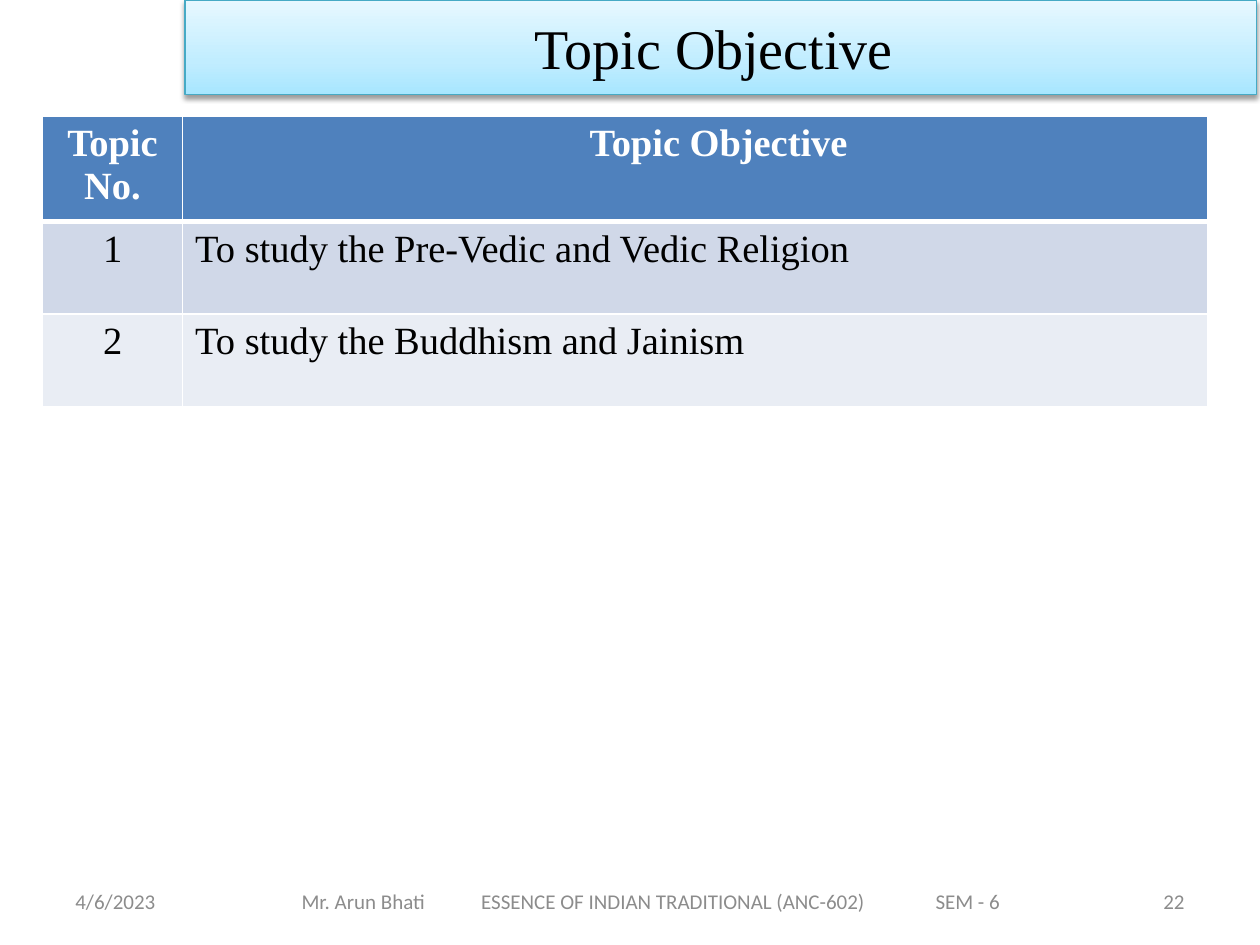
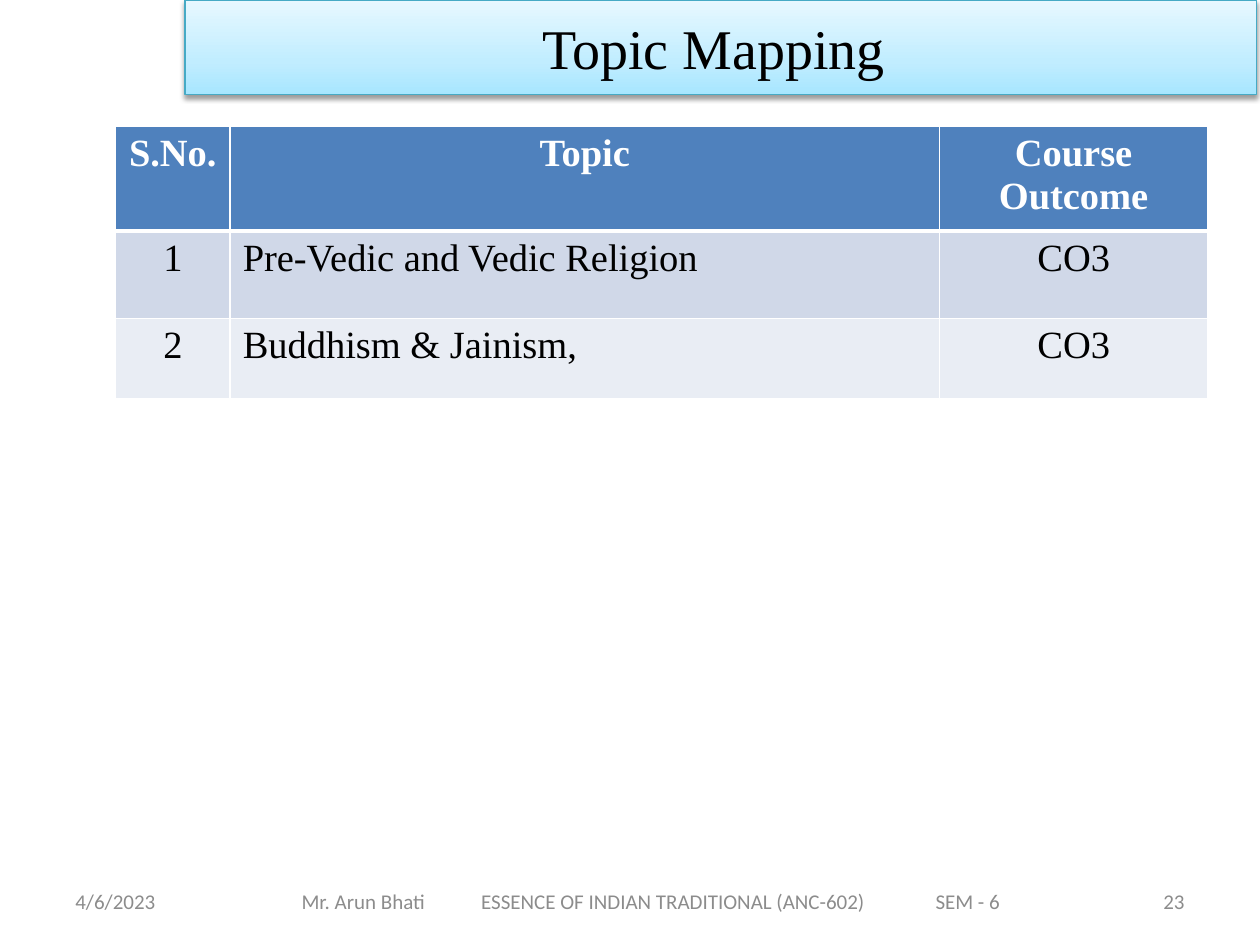
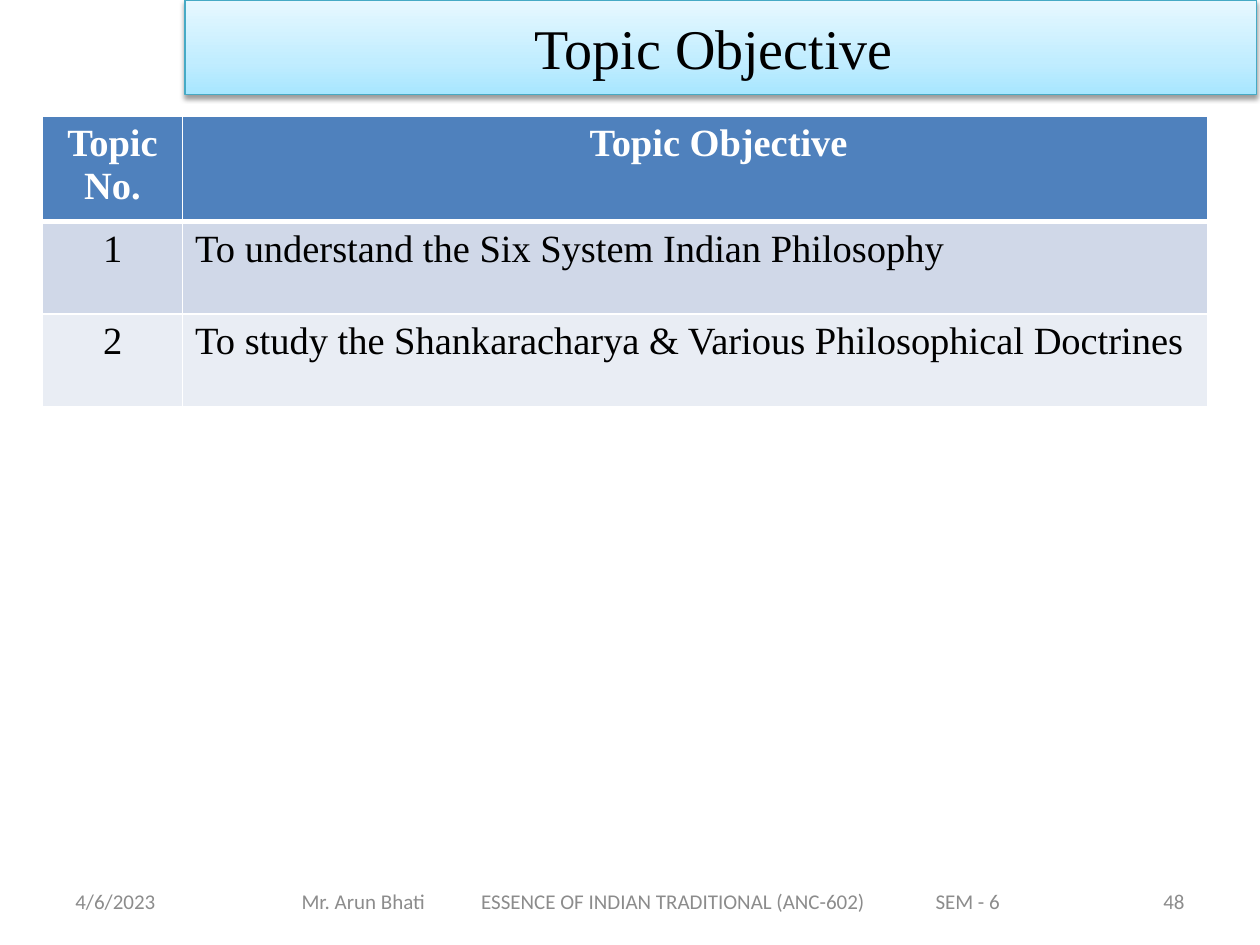
"""Build three course slides, each a title band over a table of topics."""
import copy
from dataclasses import dataclass

import pptx
import pptx.dml.color
import pptx.enum.shapes
import pptx.enum.text
import pptx.oxml
import pptx.oxml.ns
import pptx.util
from lxml import etree

Cm = pptx.util.Cm
Pt = pptx.util.Pt
qn = pptx.oxml.ns.qn
LEFT = pptx.enum.text.PP_ALIGN.LEFT
CENTER = pptx.enum.text.PP_ALIGN.CENTER
RIGHT = pptx.enum.text.PP_ALIGN.RIGHT
JUSTIFY = pptx.enum.text.PP_ALIGN.JUSTIFY
MIDDLE = pptx.enum.text.MSO_ANCHOR.MIDDLE


@dataclass(frozen=True)
class Theme:
    serif: str = "Times New Roman"
    sans: str = "Calibri"
    title_size: int = 32
    table_size: int = 22
    footer_size: int = 12
    ink: str = "000000"
    white: str = "FFFFFF"
    muted: str = "8C8C8C"
    header: str = "4F81BD"
    stripes: tuple = ("D0D8E8", "E9EDF4")
    band_edge: str = "46AAC5"
    band_stops: tuple = ((0, "A7E6FF"), (0.35, "C1EDFF"), (1, "E7F8FF"))


THEME = Theme()

OBJECTIVE_GRID = dict(
    left=0.86, top=2.34, columns=(2.82, 20.67), rows=(2.13, 1.86, 1.86),
    alignments=(CENTER, JUSTIFY), header_indents=(0.25, 1.2),
    headings=("Topic No.", "Topic Objective"),
)
MAPPING_GRID = dict(
    left=2.33, top=2.54, columns=(2.31, 14.3, 5.41), rows=(2.05, 1.76, 1.62),
    alignments=(CENTER, JUSTIFY, CENTER), header_indents=(0.25, 0.25, 0.25),
    headings=("S.No.", "Topic", "Course Outcome"),
)
SLIDES = [
    ("Topic Objective", "22", OBJECTIVE_GRID, [
        ("1", "To study the Pre-Vedic and Vedic Religion"),
        ("2", "To study the Buddhism and Jainism"),
    ]),
    ("Topic Mapping", "23", MAPPING_GRID, [
        ("1", "Pre-Vedic and Vedic Religion", "CO3"),
        ("2", "Buddhism & Jainism,", "CO3"),
    ]),
    ("Topic Objective", "48", OBJECTIVE_GRID, [
        ("1", "To understand the Six System Indian Philosophy"),
        ("2", "To study the Shankaracharya & Various Philosophical Doctrines"),
    ]),
]
DATE = "4/6/2023"
COURSE = "Mr. Arun Bhati\tESSENCE OF INDIAN TRADITIONAL (ANC-602)\tSEM - 6"
COURSE_TABS = (3.62, 12.78)
FOOTER_TOP, FOOTER_HEIGHT = 17.65, 1.02


def rgb(value):
    return pptx.dml.color.RGBColor.from_string(value)


def write(frame, text, *, size, font, color, align=LEFT, bold=False):
    frame.word_wrap = True
    paragraph = frame.paragraphs[0]
    paragraph.alignment = align
    run = paragraph.add_run()
    run.text = text
    run.font.size = Pt(size)
    run.font.name = font
    run.font.bold = bold
    run.font.color.rgb = rgb(color)
    return paragraph


def add_band(slide, title):
    band = slide.shapes.add_shape(
        pptx.enum.shapes.MSO_SHAPE.RECTANGLE, Cm(3.73), 0, Cm(21.6), Cm(1.91))
    band.fill.gradient()
    band.fill.gradient_angle = 90
    properties = band.element.spPr
    stops = properties.find(qn("a:gradFill")).find(qn("a:gsLst"))
    stops.insert(1, copy.deepcopy(stops[0]))
    for stop, (position, color) in zip(band.fill.gradient_stops, THEME.band_stops):
        stop.position = position
        stop.color.rgb = rgb(color)
    band.line.color.rgb = rgb(THEME.band_edge)
    band.line.width = Pt(0.75)
    band.shadow.inherit = False
    shadow = etree.SubElement(
        properties.find(qn("a:effectLst")), qn("a:outerShdw"),
        blurRad=str(Pt(3.1)), dist=str(Pt(1.6)), dir="5400000", rotWithShape="0")
    shade = etree.SubElement(shadow, qn("a:srgbClr"), val=THEME.ink)
    etree.SubElement(shade, qn("a:alpha"), val="38000")
    band.text_frame.vertical_anchor = MIDDLE
    band.text_frame.margin_right = Cm(0.53)
    write(band.text_frame, title, size=THEME.title_size, font=THEME.serif,
          color=THEME.ink, align=CENTER)


def add_footer(slide, number):
    parts = (
        (1.27, 5.92, 0.25, DATE, LEFT, ()),
        (4.45, 17.35, 1.63, COURSE, LEFT, COURSE_TABS),
        (18.21, 5.92, 0.25, number, RIGHT, ()),
    )
    for left, width, inset, text, align, tabs in parts:
        frame = slide.shapes.add_textbox(
            Cm(left), Cm(FOOTER_TOP), Cm(width), Cm(FOOTER_HEIGHT)).text_frame
        frame.vertical_anchor = MIDDLE
        frame.margin_left = Cm(inset)
        paragraph = write(frame, text, size=THEME.footer_size, font=THEME.sans,
                          color=THEME.muted, align=align)
        if tabs:
            tab_list = etree.SubElement(
                paragraph._p.get_or_add_pPr(), qn("a:tabLst"))
            for position in tabs:
                etree.SubElement(tab_list, qn("a:tab"), pos=str(Cm(position)), algn="l")


def draw_borders(cell, **widths):
    properties = cell._tc.get_or_add_tcPr()
    for index, side in enumerate("LRTB"):
        border = etree.Element(qn(f"a:ln{side}"), w=str(Pt(widths.get(side, 1))))
        fill = etree.SubElement(border, qn("a:solidFill"))
        etree.SubElement(fill, qn("a:srgbClr"), val=THEME.white)
        properties.insert(index, border)


def add_topics(slide, grid, topics):
    columns, rows = grid["columns"], grid["rows"]
    table = slide.shapes.add_table(
        len(rows), len(columns), Cm(grid["left"]), Cm(grid["top"]),
        Cm(sum(columns)), Cm(sum(rows))).table
    for column, width in zip(table.columns, columns):
        column.width = Cm(width)
    for row, height in zip(table.rows, rows):
        row.height = Cm(height)
    for r, texts in enumerate([grid["headings"], *topics]):
        heading = r == 0
        for c, text in enumerate(texts):
            cell = table.cell(r, c)
            cell.fill.solid()
            cell.fill.fore_color.rgb = rgb(
                THEME.header if heading else THEME.stripes[(r - 1) % 2])
            if heading:
                cell.margin_left = Cm(grid["header_indents"][c])
            draw_borders(cell, T=3 if r == 1 else 1, B=3 if heading else 1)
            write(cell.text_frame, text, size=THEME.table_size, font=THEME.serif,
                  color=THEME.white if heading else THEME.ink, bold=heading,
                  align=CENTER if heading else grid["alignments"][c])


def main():
    deck = pptx.Presentation()
    deck.slide_width, deck.slide_height = Cm(25.4), Cm(19.05)
    for title, number, grid, topics in SLIDES:
        slide = deck.slides.add_slide(deck.slide_layouts[6])
        add_footer(slide, number)
        add_band(slide, title)
        add_topics(slide, grid, topics)
    deck.save("out.pptx")


if __name__ == "__main__":
    main()
